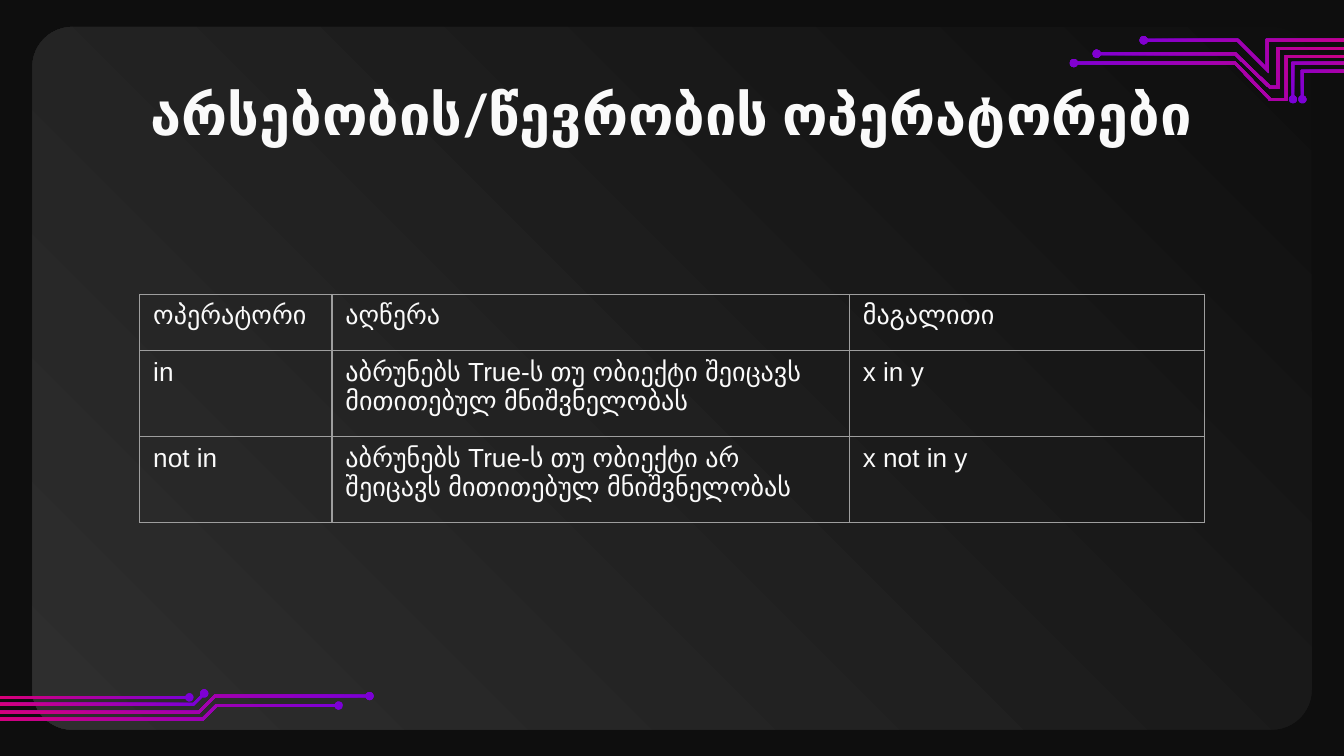
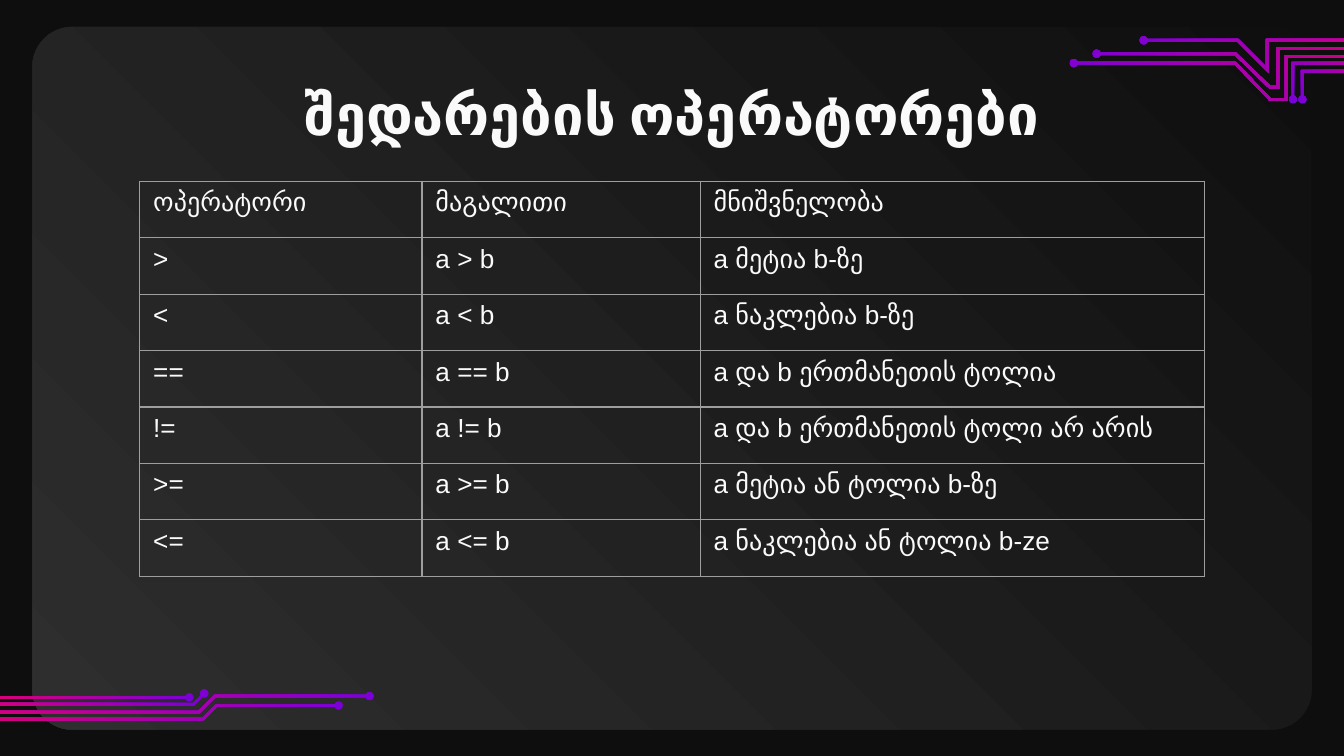
import math

from lxml import etree
from pptx import Presentation
from pptx import util as u
from pptx.dml.color import RGBColor
from pptx.enum import shapes, text
from pptx.oxml.ns import qn

# Content: title, table top, column widths, row heights, rows
SLIDES = [
    {
        "title": "არსებობის/წევრობის ოპერატორები",
        "top": 2.19,
        "cols": [1.43, 3.85, 2.64],
        "heights": [0.42, 0.64, 0.64],
        "rows": [
            ("ოპერატორი", "აღწერა", "მაგალითი"),
            ("in", "აბრუნებს True-ს თუ ობიექტი შეიცავს მითითებულ მნიშვნელობას", "x in y"),
            ("not in", "აბრუნებს True-ს თუ ობიექტი არ შეიცავს მითითებულ მნიშვნელობას",
             "x not in y"),
        ],
    },
    {
        "title": "შედარების ოპერატორები",
        "top": 1.35,
        "cols": [2.1, 2.07, 3.75],
        "heights": [0.42] * 7,
        "rows": [
            ("ოპერატორი", "მაგალითი", "მნიშვნელობა"),
            (">", "a > b", "a მეტია b-ზე"),
            ("<", "a < b", "a ნაკლებია b-ზე"),
            ("==", "a == b", "a და b ერთმანეთის ტოლია"),
            ("!=", "a != b", "a და b ერთმანეთის ტოლი არ არის"),
            (">=", "a >= b", "a მეტია ან ტოლია b-ზე"),
            ("<=", "a <= b", "a ნაკლებია ან ტოლია b-ze"),
        ],
    },
]

# Shared style
SLIDE_WIDTH = 10
SLIDE_HEIGHT = SLIDE_WIDTH * 9 / 16
BACKGROUND, INK, BORDER = "0E0E0E", "FAFAFA", "9E9E9E"
PANEL_COLORS = ("0F0F0F", "2E2E2E")
TRACE_COLORS = ("7800DA", "DA0078")
TABLE_LEFT = 1.04
NODE_RADIUS, HALF_WIDTH = 0.03, 0.01

# Circuit traces: gradient angle, then centre lines that start at the round node
CIRCUITS = [
    (135, [
        [(2.52, 5.25), (1.61, 5.25), (1.51, 5.35), (0, 5.35)],
        [(1.52, 5.16), (1.44, 5.24), (0, 5.24)],
        [(1.41, 5.19), (0, 5.19)],
        [(2.75, 5.18), (1.6, 5.18), (1.48, 5.3), (0, 5.3)],
    ]),
    (45, [
        [(9.69, 0.74), (9.69, 0.53), (10.48, 0.53)],
        [(9.62, 0.74), (9.62, 0.47), (10.48, 0.47)],
        [(8.51, 0.3), (9.21, 0.3), (9.43, 0.52), (9.43, 0.3), (10.48, 0.3)],
        [(7.99, 0.47), (9.19, 0.47), (9.45, 0.74), (9.57, 0.74), (9.57, 0.42), (10.48, 0.42)],
        [(8.16, 0.4), (9.19, 0.4), (9.45, 0.65), (9.51, 0.65), (9.51, 0.36), (10.48, 0.36)],
    ]),
]


def rgb(color):
    return RGBColor.from_string(color)


def paint_gradient(sp, colors, angle):
    sp.shadow.inherit = False
    sp.line.fill.background()
    sp.fill.gradient()
    sp.fill.gradient_angle = angle
    for stop, color, position in zip(sp.fill.gradient_stops, colors, (0, 1)):
        stop.color.rgb = rgb(color)
        stop.position = position


def add_run(p, words, size, font, bold=False):
    r = p.add_run()
    r.text = words
    r.font.size = u.Pt(size)
    r.font.name = font
    r.font.bold = bold
    r.font.color.rgb = rgb(INK)


# Trace geometry
def trace_side(line, distance):
    """Points parallel to the centre line, mitred at the bends, without the node."""
    normals = []
    for (x0, y0), (x1, y1) in zip(line, line[1:]):
        length = math.hypot(x1 - x0, y1 - y0)
        normals.append(((y0 - y1) / length, (x1 - x0) / length))
    side = []
    for (x, y), (ax, ay), (bx, by) in zip(line[1:], normals, normals[1:] + normals[-1:]):
        k = distance / (1 + ax * bx + ay * by)
        side.append((x + k * (ax + bx), y + k * (ay + by)))
    return side


def trace_outline(line, steps=24):
    (x, y), (x1, y1) = line[:2]
    gap = math.asin(HALF_WIDTH / NODE_RADIUS)
    start = math.atan2(y1 - y, x1 - x) + gap
    sweep = 2 * (math.pi - gap)
    angles = [start + sweep * i / steps for i in range(steps + 1)]
    node = [(x + NODE_RADIUS * math.cos(a), y + NODE_RADIUS * math.sin(a)) for a in angles]
    return node + trace_side(line, -HALF_WIDTH) + trace_side(line, HALF_WIDTH)[::-1]


# Slide parts
def add_backdrop(s):
    s.background.fill.solid()
    s.background.fill.fore_color.rgb = rgb(BACKGROUND)
    panel = s.shapes.add_shape(shapes.MSO_SHAPE.ROUNDED_RECTANGLE, u.Inches(0.24),
                               u.Inches(0.2), u.Inches(9.52), u.Inches(5.23))
    panel.adjustments[0] = 0.057
    paint_gradient(panel, PANEL_COLORS, 225)
    for angle, lines in CIRCUITS:
        group = s.shapes.add_group_shape()
        for line in lines:
            points = [(u.Inches(x), u.Inches(y)) for x, y in trace_outline(line)]
            builder = group.shapes.build_freeform(*points[0])
            builder.add_line_segments(points[1:], close=True)
            paint_gradient(builder.convert_to_shape(), TRACE_COLORS, angle)


def add_title(s, words):
    box = s.shapes.add_textbox(u.Inches(0.79), u.Inches(0.49), u.Inches(8.42), u.Inches(0.63))
    tf = box.text_frame
    tf.word_wrap = True
    tf.margin_left = tf.margin_right = 0
    tf.margin_top = tf.margin_bottom = u.Inches(0.1)
    p = tf.paragraphs[0]
    p.alignment = text.PP_ALIGN.CENTER
    add_run(p, words, 30, "Lato", bold=True)


def set_borders(cell):
    tc_pr = cell._tc.get_or_add_tcPr()
    for edge in ("a:lnL", "a:lnR", "a:lnT", "a:lnB"):
        ln = etree.SubElement(tc_pr, qn(edge), w=str(u.Pt(0.75)))
        fill = etree.SubElement(ln, qn("a:solidFill"))
        etree.SubElement(fill, qn("a:srgbClr"), val=BORDER)


def add_operator_table(s, top, cols, heights, rows):
    frame = s.shapes.add_table(len(rows), len(cols), u.Inches(TABLE_LEFT), u.Inches(top),
                               u.Inches(sum(cols)), u.Inches(sum(heights)))
    table = frame.table
    table.first_row = table.horz_banding = False
    for column, width in zip(table.columns, cols):
        column.width = u.Inches(width)
    for row, height, words in zip(table.rows, heights, rows):
        row.height = u.Inches(height)
        for cell, entry in zip(row.cells, words):
            set_borders(cell)
            cell.fill.background()
            cell.margin_left = cell.margin_right = u.Inches(0.1)
            cell.margin_top = cell.margin_bottom = u.Inches(0.05)
            add_run(cell.text_frame.paragraphs[0], entry, 14, "Arial")


def main():
    prs = Presentation()
    prs.slide_width, prs.slide_height = u.Inches(SLIDE_WIDTH), u.Inches(SLIDE_HEIGHT)
    for content in SLIDES:
        s = prs.slides.add_slide(prs.slide_layouts[6])
        add_backdrop(s)
        add_title(s, content["title"])
        add_operator_table(s, content["top"], content["cols"], content["heights"],
                           content["rows"])
    prs.save("out.pptx")


if __name__ == "__main__":
    main()
